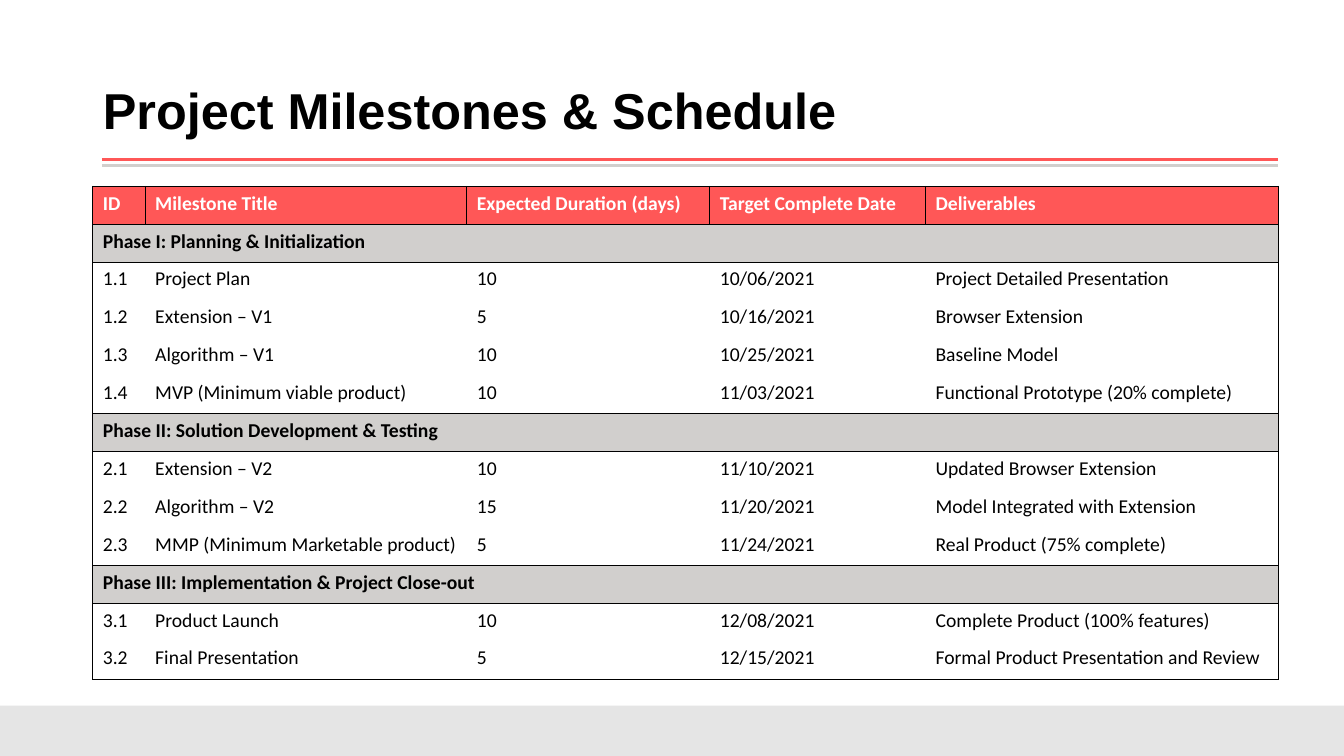
from lxml.etree import SubElement
from pptx import Presentation
from pptx.dml.color import RGBColor
from pptx.enum.shapes import MSO_CONNECTOR, MSO_SHAPE
from pptx.enum.text import MSO_ANCHOR, MSO_AUTO_SIZE, PP_ALIGN
from pptx.oxml.ns import qn
from pptx.util import Inches, Pt

COLORS = {
    "black": "000000",
    "white": "FFFFFF",
    "coral": "FF5757",
    "gray": "D1CFCD",
    "footer": "E5E5E5",
}
HEADINGS = ("ID", "Milestone Title", "Expected Duration (days)",
            "Target Complete Date", "Deliverables")
COLUMN_WIDTHS = (0.52, 3.19, 2.41, 2.14, 3.5)
PHASES = (
    ("Phase I: Planning & Initialization", (
        ("1.1", "Project Plan", "10", "10/06/2021", "Project Detailed Presentation"),
        ("1.2", "Extension – V1", "5", "10/16/2021", "Browser Extension"),
        ("1.3", "Algorithm – V1", "10", "10/25/2021", "Baseline Model"),
        ("1.4", "MVP (Minimum viable product)", "10", "11/03/2021",
         "Functional Prototype (20% complete)"),
    )),
    ("Phase II: Solution Development & Testing", (
        ("2.1", "Extension – V2", "10", "11/10/2021", "Updated Browser Extension"),
        ("2.2", "Algorithm – V2", "15", "11/20/2021", "Model Integrated with Extension"),
        ("2.3", "MMP (Minimum Marketable product)", "5", "11/24/2021",
         "Real Product (75% complete)"),
    )),
    ("Phase III: Implementation & Project Close-out", (
        ("3.1", "Product Launch", "10", "12/08/2021", "Complete Product (100% features)"),
        ("3.2", "Final Presentation", "5", "12/15/2021",
         "Formal Product Presentation and Review"),
    )),
)


def rgb(name):
    """Return the named palette colour."""
    return RGBColor.from_string(COLORS[name])


def style_font(font, face, size, color, bold):
    """Set face, size, colour and weight of a font."""
    font.name = face
    font.size = Pt(size)
    font.bold = bold
    font.color.rgb = rgb(color)


def set_title(slide, text):
    """Place and format the slide title."""
    title = slide.shapes.title
    title.left, title.top = Inches(0.92), Inches(0.4)
    title.width, title.height = Inches(11.5), Inches(1.45)
    frame = title.text_frame
    frame.text = text
    frame.word_wrap = True
    frame.auto_size = MSO_AUTO_SIZE.NONE
    frame.vertical_anchor = MSO_ANCHOR.MIDDLE
    heading = frame.paragraphs[0]
    heading.alignment = PP_ALIGN.LEFT
    heading.line_spacing = 0.9
    style_font(heading.runs[0].font, "Arial", 36, "black", True)


def set_borders(cell, sides):
    """Draw black borders on the given sides (of LRTB) and clear the others."""
    properties = cell._tc.get_or_add_tcPr()
    for side in "LRTB":
        border = SubElement(properties, qn(f"a:ln{side}"), w=str(Pt(1)))
        if side in sides:
            fill = SubElement(border, qn("a:solidFill"))
            SubElement(fill, qn("a:srgbClr"), val=COLORS["black"])
        else:
            SubElement(border, qn("a:noFill"))


def format_cell(cell, text, sides, color="black", bold=False, fill=None):
    """Fill in one table cell with its text, borders and background."""
    set_borders(cell, sides)
    if fill:
        cell.fill.solid()
        cell.fill.fore_color.rgb = rgb(fill)
    else:
        cell.fill.background()
    cell.text = text
    style_font(cell.text_frame.paragraphs[0].font, "Calibri", 14, color, bold)
    for run in cell.text_frame.paragraphs[0].runs:
        style_font(run.font, "Calibri", 14, color, bold)


def add_schedule(slide):
    """Add the milestone table, grouped by phase."""
    row_count = 1 + sum(1 + len(milestones) for _, milestones in PHASES)
    last_column = len(HEADINGS) - 1
    schedule = slide.shapes.add_table(
        row_count, len(HEADINGS), Inches(0.92), Inches(1.85),
        Inches(sum(COLUMN_WIDTHS)), Inches(4.89)).table
    schedule.first_row = schedule.horz_banding = False
    for column, width in zip(schedule.columns, COLUMN_WIDTHS):
        column.width = Inches(width)

    for index, heading in enumerate(HEADINGS):
        format_cell(schedule.cell(0, index), heading, "LRTB", "white", True, "coral")
    row = 1
    for phase, milestones in PHASES:
        schedule.cell(row, 0).merge(schedule.cell(row, last_column))
        for index in range(len(HEADINGS)):
            format_cell(schedule.cell(row, index), "" if index else phase,
                        "LRTB", bold=True, fill="gray")
        for position, milestone in enumerate(milestones):
            row += 1
            row_sides = "T" if position == 0 else ""
            row_sides += "B" if position == len(milestones) - 1 else ""
            for index, text in enumerate(milestone):
                edge = {0: "L", last_column: "R"}.get(index, "")
                format_cell(schedule.cell(row, index), text, row_sides + edge)
        row += 1


def add_footer_band(slide):
    """Add the plain band along the bottom edge."""
    band = slide.shapes.add_shape(
        MSO_SHAPE.RECTANGLE, 0, Inches(7), Inches(13.33), Inches(0.5))
    band.shadow.inherit = False
    band.fill.solid()
    band.fill.fore_color.rgb = rgb("footer")
    band.line.fill.background()


def add_rule(slide, y, color):
    """Add a horizontal rule below the title."""
    rule = slide.shapes.add_connector(
        MSO_CONNECTOR.STRAIGHT, Inches(1.01), Inches(y), Inches(12.68), Inches(y))
    rule.line.color.rgb = rgb(color)
    rule.line.width = Pt(2.25)
    SubElement(rule._element.spPr, qn("a:effectLst"))


def main():
    """Build and save the milestone slide."""
    deck = Presentation()
    deck.slide_width, deck.slide_height = Inches(13.33), Inches(7.5)
    slide = deck.slides.add_slide(deck.slide_layouts[5])
    set_title(slide, "Project Milestones & Schedule")
    add_schedule(slide)
    add_footer_band(slide)
    add_rule(slide, 1.58, "coral")
    add_rule(slide, 1.64, "gray")
    deck.save("out.pptx")


if __name__ == "__main__":
    main()
